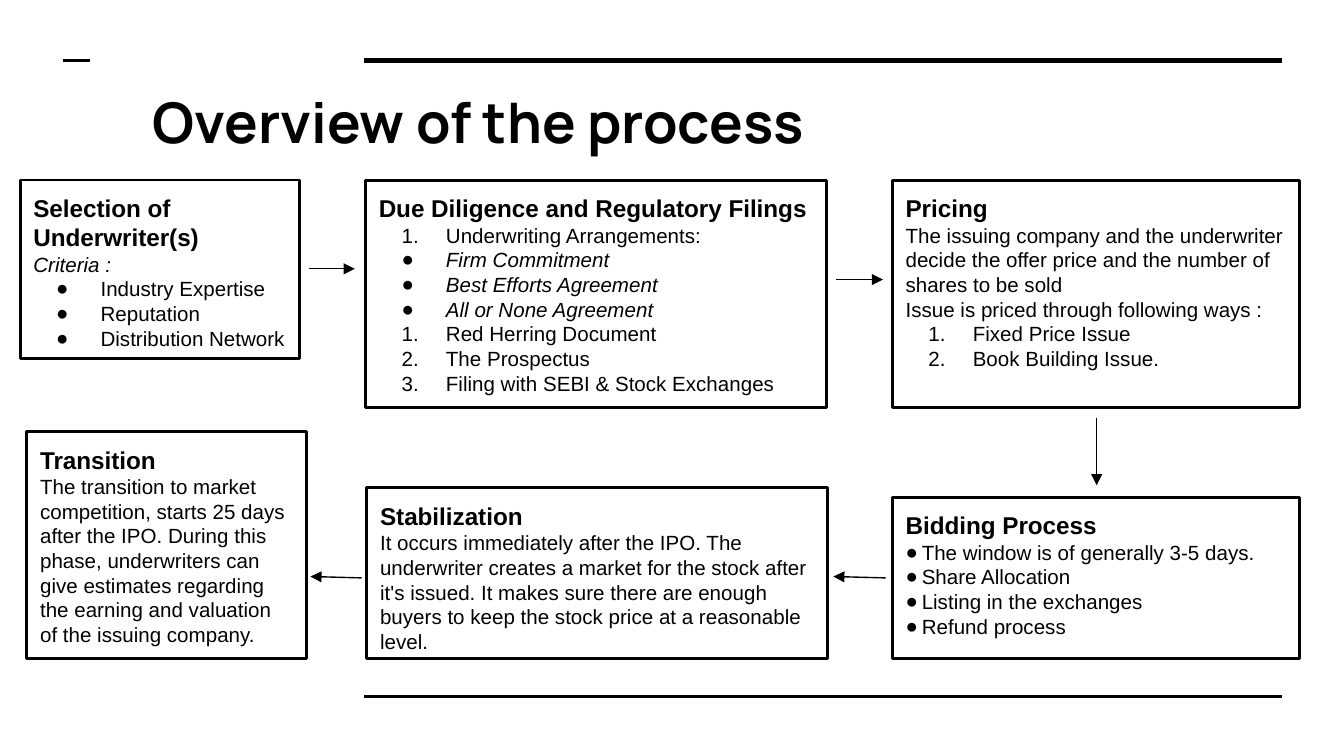
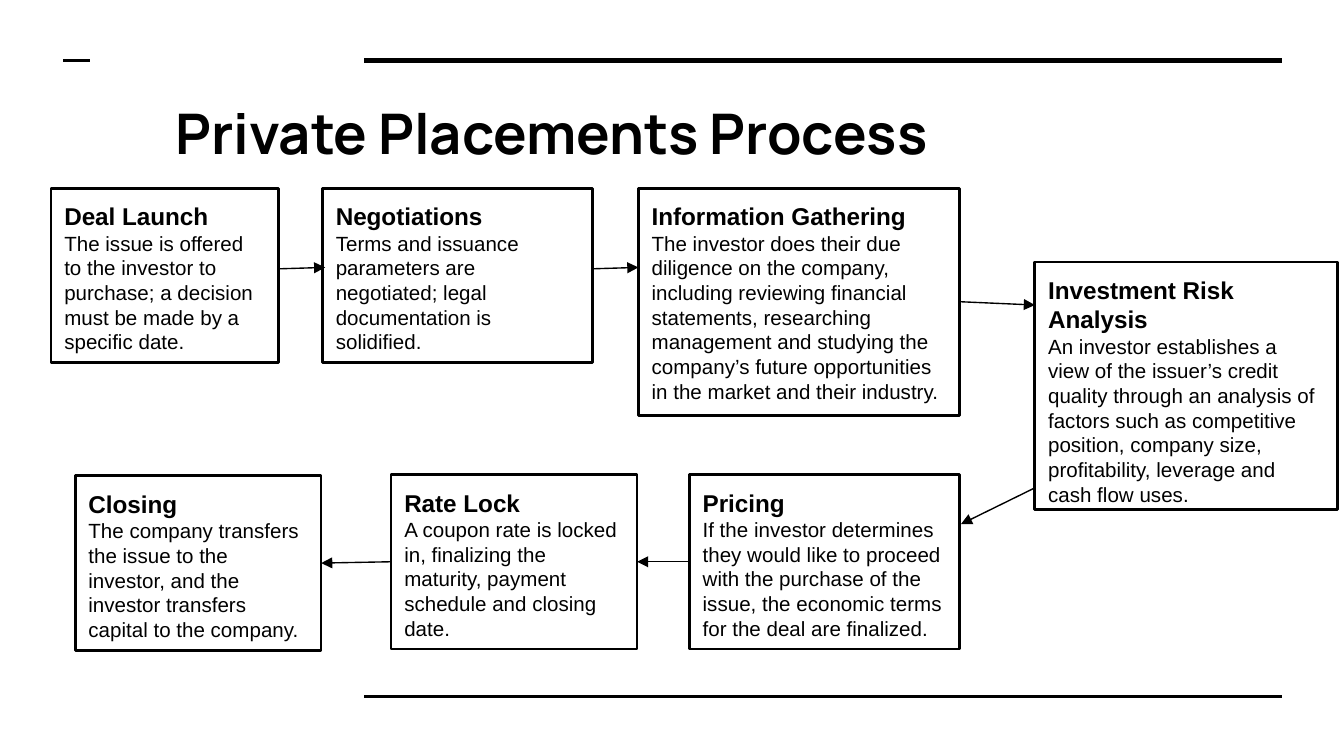
from lxml import etree
from pptx import Presentation, util as u
from pptx.dml.color import RGBColor
from pptx.enum import shapes, text
from pptx.oxml import ns

PX = 9144  # 100 px to the inch
HUES = {"ink": "000000", "page": "FFFFFF"}
BODY, HEAD = "Arial", "Manrope"
RIGHT, LEFT = 3, 1  # connection sites


def px(*vals):
    return [u.Emu(v * PX) for v in vals]


def hue(name):
    return RGBColor.from_string(HUES[name])


def add(node, tag, **attrs):
    return etree.SubElement(node, ns.qn(tag), attrs)


class Deck:
    def __init__(self):
        self.prs = Presentation()
        self.prs.slide_width = u.Inches(10)
        self.prs.slide_height = u.Inches(5.625)

    def page(self, title, at):
        """Start a slide with its rules and title."""
        self.slide = self.prs.slides.add_slide(self.prs.slide_layouts[6])
        fill = self.slide.background.fill
        fill.solid()
        fill.fore_color.rgb = hue("page")
        self.line((271, 45, 954, 45), 3)
        self.line((271, 518, 954, 518), 1.5)
        self.line((47, 45, 67, 45), 1.5)
        frame = self.slide.shapes.add_textbox(*px(*at)).text_frame
        self.frame(frame)
        self.para(frame.paragraphs[0], title, 30, HEAD, bold=True)

    def frame(self, frame):
        frame.word_wrap = True
        frame.vertical_anchor = text.MSO_ANCHOR.TOP
        frame.margin_left = frame.margin_right = u.Inches(0.1)
        frame.margin_top = frame.margin_bottom = u.Inches(0.1)

    def para(self, para, words, size, face=BODY, bold=False, slant=False):
        para.text = words
        para.alignment = text.PP_ALIGN.LEFT
        font = para.font
        font.size, font.name = u.Pt(size), face
        font.bold, font.italic = bold, slant
        font.color.rgb = hue("ink")

    def mark(self, para, kind, indent, hang):
        """Give a paragraph a bullet or a number."""
        props = para._p.get_or_add_pPr()
        props.set("marL", str(indent * PX))
        props.set("indent", str(-hang * PX))
        first = props.find(ns.qn("a:defRPr"))
        color = add(props, "a:buClr")
        add(color, "a:srgbClr", val=HUES["ink"])
        add(props, "a:buFont", typeface=BODY)
        if kind == "num":
            add(props, "a:buAutoNum", type="arabicPeriod")
        else:
            add(props, "a:buChar", char="●")
        if first is not None:
            props.append(first)

    def box(self, at, head, *rows):
        """Outlined step: a bold heading, then plain or (text, style) rows."""
        shape = self.slide.shapes.add_shape(shapes.MSO_SHAPE.RECTANGLE, *px(*at))
        shape.shadow.inherit = False
        shape.fill.background()
        shape.line.color.rgb = hue("ink")
        shape.line.width = u.Pt(1.5)
        frame = shape.text_frame
        self.frame(frame)
        self.para(frame.paragraphs[0], head, 13, bold=True)
        for row in rows:
            words, style = (row, "") if isinstance(row, str) else row
            para = frame.add_paragraph()
            self.para(para, words, 11, slant="slant" in style)
            if "tight" in style:
                self.mark(para, "dot", 12, 12)
            elif "dot" in style or "num" in style:
                self.mark(para, "num" if "num" in style else "dot", 50, 33)
        return shape

    def line(self, ends, width):
        line = self.slide.shapes.add_connector(
            shapes.MSO_CONNECTOR.STRAIGHT, *px(*ends))
        line.line.color.rgb = hue("ink")
        line.line.width = u.Pt(width)
        add(line._element.spPr, "a:effectLst")
        return line

    def arrow(self, ends, start=None, stop=None):
        """Arrow; start and stop are (box, site) where it meets a side's middle."""
        line = self.line(ends, 0.75)
        add(line.line._get_or_add_ln(), "a:tailEnd", type="triangle")
        if start:
            line.begin_connect(*start)
        if stop:
            line.end_connect(*stop)


def overview(deck):
    deck.page("Overview of the process", (104, 55, 877, 69))

    # Upper row
    deck.box((15, 134, 208, 133), "Selection of Underwriter(s)",
             ("Criteria :", "slant"), ("Industry Expertise", "dot"),
             ("Reputation", "dot"), ("Distribution Network", "dot"))
    deck.box((272, 134, 343, 169), "Due Diligence and Regulatory Filings",
             ("Underwriting Arrangements:", "num"),
             ("Firm Commitment", "dot slant"),
             ("Best Efforts Agreement", "dot slant"),
             ("All or None Agreement", "dot slant"),
             ("Red Herring Document", "num"), ("The Prospectus", "num"),
             ("Filing with SEBI & Stock Exchanges", "num"))
    deck.box((664, 134, 303, 169), "Pricing",
             "The issuing company and the underwriter decide the offer price "
             "and the number of shares to be sold",
             "Issue is priced through following ways :",
             ("Fixed Price Issue", "num"), ("Book Building Issue.", "num"))

    # Lower row
    deck.box((664, 370, 303, 120), "Bidding Process",
             ("The window is of generally 3-5 days.", "tight"),
             ("Share Allocation", "tight"),
             ("Listing in the exchanges", "tight"),
             ("Refund process", "tight"))
    deck.box((273, 363, 343, 127), "Stabilization",
             "It occurs immediately after the IPO. The underwriter creates a "
             "market for the stock after it's issued. It makes sure there are "
             "enough buyers to keep the stock price at a reasonable level.")
    deck.box((20, 321, 208, 169), "Transition",
             "The transition to market competition, starts 25 days after the "
             "IPO. During this phase, underwriters can give estimates "
             "regarding the earning and valuation of the issuing company.")

    # Flow
    for ends in ((230, 200, 264, 200), (622, 208, 657, 208),
                 (816, 311, 816, 361), (659, 430, 620, 429),
                 (269, 430, 231, 429)):
        deck.arrow(ends)


def private(deck):
    deck.page("Private Placements Process", (121, 63, 691, 69))

    # Upper row
    deck.box((38, 140, 169, 130), "Deal Launch",
             "The issue is offered to the investor to purchase; a decision "
             "must be made by a specific date.")
    deck.box((240, 140, 201, 130), "Negotiations",
             "Terms and issuance parameters are negotiated; legal "
             "documentation is solidified.")
    info = deck.box((475, 140, 239, 169), "Information Gathering",
                    "The investor does their due diligence on the company, "
                    "including reviewing financial statements, researching "
                    "management and studying the company’s future "
                    "opportunities in the market and their industry.")
    deck.box((770, 195, 225, 184), "Investment Risk Analysis",
             "An investor establishes a view of the issuer’s credit quality "
             "through an analysis of factors such as competitive position, "
             "company size, profitability, leverage and cash flow uses.")

    # Lower row
    price = deck.box((513, 353, 201, 130), "Pricing",
                     "If the investor determines they would like to proceed "
                     "with the purchase of the issue, the economic terms for "
                     "the deal are finalized.")
    rate = deck.box((291, 353, 183, 130), "Rate Lock",
                    "A coupon rate is locked in, finalizing the maturity, "
                    "payment schedule and closing date.")
    close = deck.box((56, 354, 183, 130), "Closing",
                     "The company transfers the issue to the investor, and "
                     "the investor transfers capital to the company.")

    # Flow
    deck.arrow((208, 200, 242, 199))
    deck.arrow((441, 200, 475, 199))
    deck.arrow((714, 224, 770, 227), start=(info, RIGHT))
    deck.arrow((770, 363, 715, 390))
    deck.arrow((513, 419, 475, 418), (price, LEFT), (rate, RIGHT))
    deck.arrow((291, 419, 240, 419), (rate, LEFT), (close, RIGHT))


def main():
    deck = Deck()
    overview(deck)
    private(deck)
    deck.prs.save("out.pptx")


if __name__ == "__main__":
    main()
